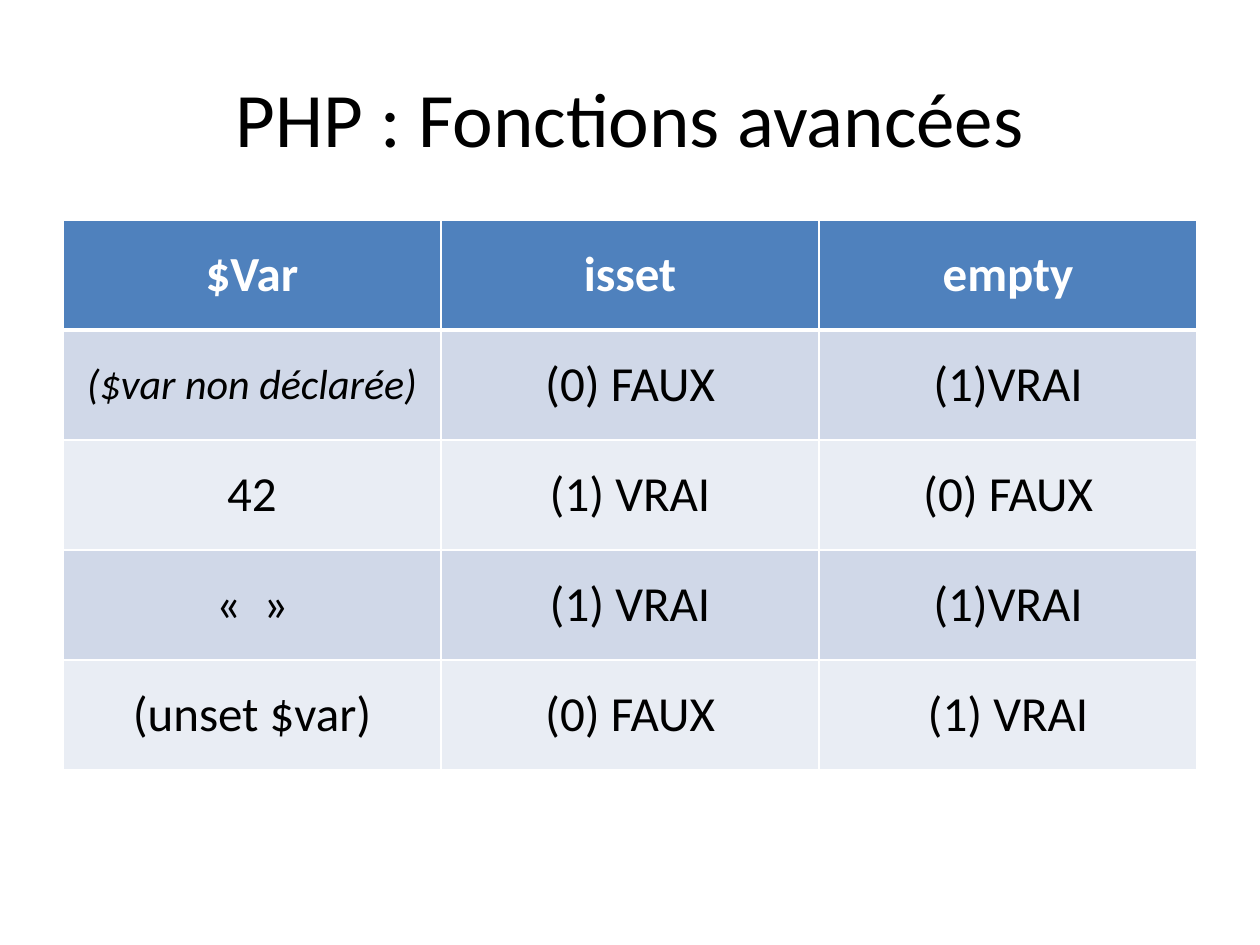
from dataclasses import dataclass

from lxml.etree import SubElement
from pptx import Presentation
from pptx.dml.color import RGBColor
from pptx.enum.text import MSO_ANCHOR, PP_ALIGN
from pptx.oxml.ns import qn
from pptx.util import Pt

SCALE = 914400 / 126  # EMU in one px


def px(n):
    return round(n * SCALE)


@dataclass(frozen=True)
class Theme:
    font: str = "Calibri"
    ink: str = "000000"
    white: str = "FFFFFF"
    head: str = "4F81BD"
    bands: tuple = ("D0D8E8", "E9EDF4")
    title: int = 44
    body: int = 28
    note: int = 24
    thin: int = 1
    thick: int = 3


class Deck:
    def __init__(self, theme, wide, high):
        self.theme = theme
        self.file = Presentation()
        self.file.slide_width, self.file.slide_height = px(wide), px(high)
        self.slide = self.file.slides.add_slide(self.file.slide_layouts[5])

    def label(self, frame, text, size, color, bold=False, italic=False):
        para = frame.paragraphs[0]
        para.alignment = PP_ALIGN.CENTER
        run = para.add_run()
        run.text = text
        font = run.font
        font.name, font.size = self.theme.font, Pt(size)
        font.bold, font.italic = bold, italic
        font.color.rgb = RGBColor.from_string(color)

    def title(self, text, left, top, wide, high):
        box = self.slide.shapes.title
        box.left, box.top, box.width, box.height = map(px, (left, top, wide, high))
        box.text_frame.vertical_anchor = MSO_ANCHOR.MIDDLE
        self.label(box.text_frame, text, self.theme.title, self.theme.ink)

    def border(self, cell, side, width):
        props = cell._tc.get_or_add_tcPr()
        line = SubElement(props, qn(f"a:ln{side}"), w=str(int(Pt(width))))
        fill = SubElement(line, qn("a:solidFill"))
        SubElement(fill, qn("a:srgbClr"), val=self.theme.white)

    def number(self, frame, indent):
        props = frame.paragraphs[0]._p.get_or_add_pPr()
        props.set("marL", str(px(indent)))
        props.set("indent", str(-px(indent)))
        SubElement(props, qn("a:buFont"), typeface="+mj-lt")
        SubElement(props, qn("a:buAutoNum"), type="arabicParenBoth")

    def table(self, rows, left, top, wide, step, notes, listed):
        theme = self.theme
        shape = self.slide.shapes.add_table(
            len(rows), len(rows[0]), px(left), px(top), px(wide), px(step * len(rows)))
        grid = shape.table
        for r, row in enumerate(rows):
            grid.rows[r].height = px(step)
            head = r == 0
            back = theme.head if head else theme.bands[(r - 1) % 2]
            # The rule under the header is the heavy one
            rules = {"L": theme.thin, "R": theme.thin,
                     "T": theme.thick if r == 1 else theme.thin,
                     "B": theme.thick if head else theme.thin}
            for c, text in enumerate(row):
                cell = grid.cell(r, c)
                cell.vertical_anchor = MSO_ANCHOR.MIDDLE
                for side, width in rules.items():
                    self.border(cell, side, width)
                cell.fill.solid()
                cell.fill.fore_color.rgb = RGBColor.from_string(back)
                note = (r, c) in notes
                if (r, c) in listed:
                    self.number(cell.text_frame, 48)
                self.label(cell.text_frame, text,
                           theme.note if note else theme.body,
                           theme.white if head else theme.ink, head, note)

    def save(self):
        self.file.save("out.pptx")


def main():
    deck = Deck(Theme(), 1260, 945)

    # Title
    deck.title("PHP : Fonctions avancées", 63, 38, 1134, 158)

    # Truth table; listed cells get their (1) from auto numbering
    rows = [
        ("$Var", "isset", "empty"),
        ("($var non déclarée)", "(0) FAUX", "VRAI"),
        ("42", "(1) VRAI", "(0) FAUX"),
        ("«  »", "(1) VRAI", "VRAI"),
        ("(unset $var)", "(0) FAUX", "(1) VRAI"),
    ]
    deck.table(rows, 63, 220, 1134, 110, notes={(1, 0)}, listed={(1, 2), (3, 2)})

    deck.save()


if __name__ == "__main__":
    main()
